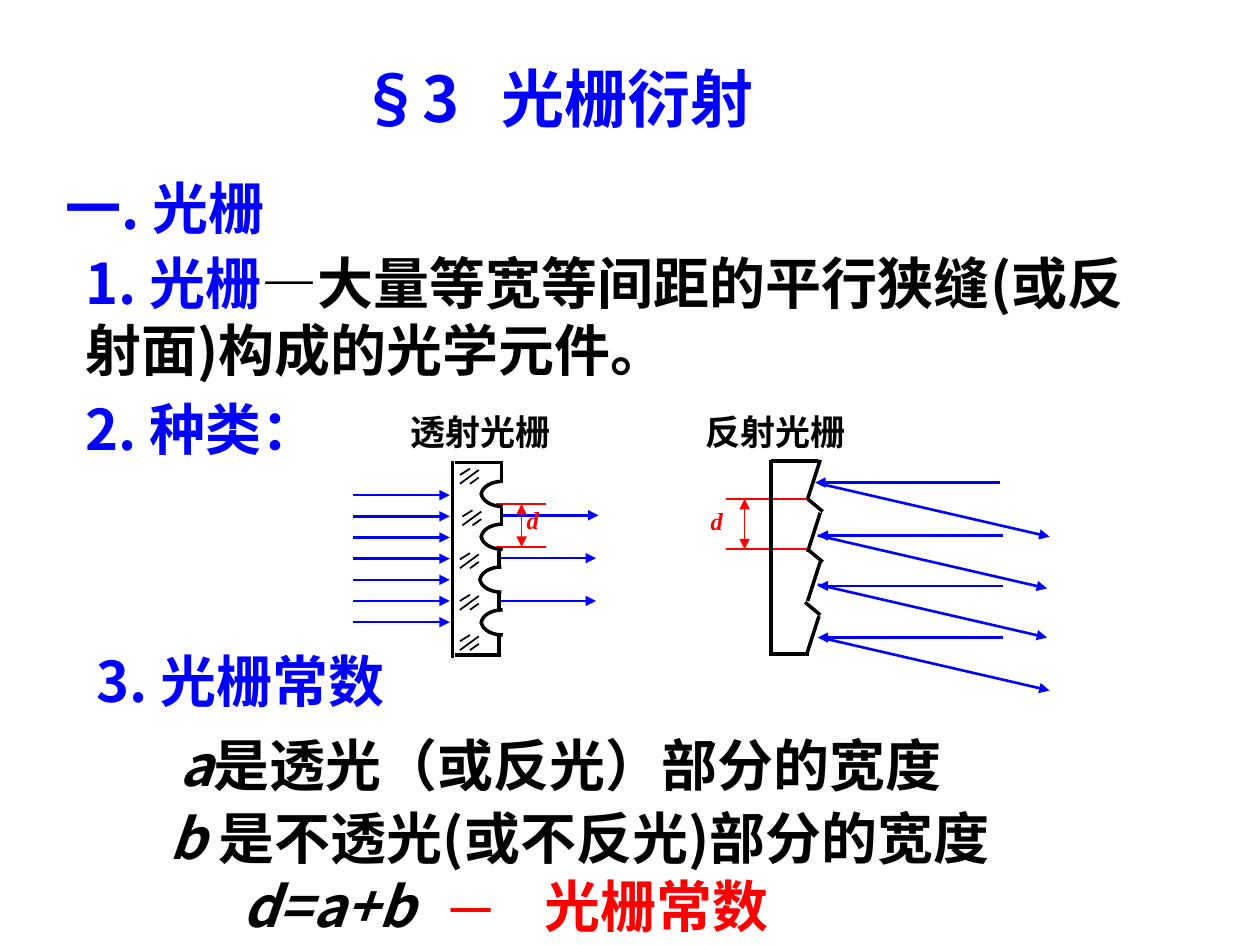
import math
from dataclasses import dataclass

import lxml.etree
import pptx
import pptx.dml.color
import pptx.enum.text
import pptx.oxml.ns
import pptx.util

Inches = pptx.util.Inches
Pt = pptx.util.Pt
qn = pptx.oxml.ns.qn
Align = pptx.enum.text.PP_ALIGN
Fit = pptx.enum.text.MSO_AUTO_SIZE

HUES = {"blue": "0000FF", "red": "FF0000", "black": "000000"}
SANS, SERIF = "Noto Sans CJK SC", "Times New Roman"


@dataclass
class Run:
    text: str
    hue: str = "black"
    size: int = 32
    face: str = SANS
    slant: bool = False


@dataclass
class Label:
    box: tuple[float, float, float, float]
    runs: list[Run]
    align: Align = Align.LEFT
    stops: tuple[float, ...] = ()
    tight: bool = False


@dataclass
class Pen:
    hue: str
    width: float
    head: bool = False
    tail: bool = False


def color(hue: str) -> pptx.dml.color.RGBColor:
    return pptx.dml.color.RGBColor.from_string(HUES[hue])


def write(shape, label: Label) -> None:
    """Place a text shape and fill it with the label's runs."""
    for name, value in zip(("left", "top", "width", "height"), label.box):
        setattr(shape, name, Inches(value))
    frame = shape.text_frame
    side, edge = (0.01, 0.01) if label.tight else (0.1, 0.05)
    style = {
        "word_wrap": True,
        "auto_size": Fit.NONE if label.tight else Fit.SHAPE_TO_FIT_TEXT,
        "vertical_anchor": pptx.enum.text.MSO_ANCHOR.TOP,
        "margin_left": Inches(side), "margin_right": Inches(side),
        "margin_top": Inches(edge), "margin_bottom": Inches(edge),
    }
    for name, value in style.items():
        setattr(frame, name, value)
    para = frame.paragraphs[0]
    para.alignment = label.align
    para.line_spacing = 1.0
    para.space_before = Pt(0)
    if label.stops:
        tabs = lxml.etree.SubElement(para._p.get_or_add_pPr(), qn("a:tabLst"))
        for stop in label.stops:
            lxml.etree.SubElement(tabs, qn("a:tab"), pos=str(Inches(stop)), algn="l")
    for part in label.runs:
        run = para.add_run()
        run.text = part.text
        look = {"size": Pt(part.size), "bold": True, "italic": part.slant, "name": part.face}
        for name, value in look.items():
            setattr(run.font, name, value)
        run.font.color.rgb = color(part.hue)
        lxml.etree.SubElement(run._r.get_or_add_rPr(), qn("a:ea"), typeface=SANS)


def add_text(shapes, label: Label) -> None:
    write(shapes.add_textbox(0, 0, Inches(1), Inches(1)), label)


def ink(shape, pen: Pen) -> None:
    shape.line.color.rgb = color(pen.hue)
    shape.line.width = Pt(pen.width)


def add_line(shapes, x1: float, y1: float, x2: float, y2: float, pen: Pen) -> None:
    line = shapes.add_connector(1, Inches(x1), Inches(y1), Inches(x2), Inches(y2))
    ink(line, pen)
    for tag, wanted in (("a:headEnd", pen.head), ("a:tailEnd", pen.tail)):
        if wanted:
            lxml.etree.SubElement(line.line._get_or_add_ln(), qn(tag), type="triangle")
    lxml.etree.SubElement(line._element.spPr, qn("a:effectLst"))


def add_arc(shapes, right: float, mid: float, rise: float, pen: Pen) -> None:
    """Quarter ellipse from the right edge round to the notch's left end."""
    dots = []
    for step in range(13):
        turn = math.pi / 2 * step / 12
        dots.append((Inches(right - 0.17 * math.sin(turn)),
                     Inches(mid + rise * math.cos(turn))))
    path = shapes.build_freeform(*dots[0], scale=1.0)
    path.add_line_segments(dots[1:], close=False)
    arc = path.convert_to_shape()
    arc.shadow.inherit = False
    arc.fill.background()
    ink(arc, pen)


def add_gauge(shapes, x: float, left: float, right: float, top: float, base: float,
              box: tuple[float, float, float, float]) -> None:
    """Red spacing mark with its letter d."""
    add_line(shapes, x, top, x, base, Pen("red", 0.75, head=True, tail=True))
    for y in (top, base):
        add_line(shapes, left, y, right, y, Pen("red", 1))
    add_text(shapes, Label(box, [Run("d", "red", 14, SERIF, True)], Align.JUSTIFY, tight=True))


def add_caption(shapes, x: float, width: float, text: str) -> None:
    add_text(shapes, Label((x, 3.25, width, 0.39), [Run(text, size=20, face=SERIF)],
                           Align.JUSTIFY, tight=True))


def draw_mirror(shapes) -> None:
    """Reflection grating."""
    for x, y in ((6.47, 3.83), (6.49, 4.25), (6.49, 4.65), (6.49, 5.06)):
        add_line(shapes, x, y, x + 1.47, y, Pen("blue", 1.5, head=True))
    for x, y in ((6.51, 3.84), (6.49, 4.25), (6.49, 4.64), (6.51, 5.06)):
        add_line(shapes, x, y, x + 1.82, y + 0.42, Pen("blue", 1.5, tail=True))
    add_gauge(shapes, 5.91, 5.76, 6.42, 3.96, 4.36, (5.63, 4.01, 0.39, 0.28))
    wall = Pen("black", 2)
    add_line(shapes, 6.12, 3.65, 6.12, 5.21, wall)
    add_line(shapes, 6.12, 3.66, 6.49, 3.66, wall)
    add_line(shapes, 6.12, 5.19, 6.42, 5.19, wall)
    for x, y in ((6.51, 3.65), (6.51, 4.07), (6.51, 4.46), (6.5, 4.89)):
        add_line(shapes, x, y, x - 0.1, y + 0.31, wall)
    for x, y in ((6.41, 3.96), (6.41, 4.36), (6.39, 4.78)):
        add_line(shapes, x, y, x + 0.12, y + 0.1, wall)
    add_caption(shapes, 5.59, 1.53, "反射光栅")


def draw_glass(shapes) -> None:
    """Transmission grating."""
    ray = Pen("blue", 1.5, tail=True)
    for x, y in ((3.97, 4.09), (3.95, 4.43), (3.95, 4.77)):
        add_line(shapes, x, y, x + 0.78, y, ray)
    for row in range(7):
        y = 3.93 + 0.168 * row
        add_line(shapes, 2.8, y, 3.57, y, ray)
    add_gauge(shapes, 4.14, 3.94, 4.33, 4, 4.34, (4.17, 4, 0.43, 0.29))
    add_caption(shapes, 3.25, 1.38, "透射光栅")
    wall = Pen("black", 2)
    add_line(shapes, 3.59, 3.66, 3.59, 5.22, wall)
    for y in (3.67, 5.2):
        add_line(shapes, 3.61, y, 3.98, y, wall)
    for x, top, base in ((3.98, 3.66, 3.83), (3.98, 4.03, 4.17), (3.96, 4.37, 4.51),
                         (3.96, 4.69, 4.83), (3.96, 5.04, 5.21)):
        add_line(shapes, x, top, x, base, wall)
    # Notches
    for right, top in ((3.99, 3.82), (3.99, 4.16), (3.98, 4.5), (3.99, 4.84)):
        add_arc(shapes, right, top + 0.11, -0.11, wall)
        add_arc(shapes, right, top + 0.09, 0.11, wall)
    # Hatching
    for x, y in ((3.65, 3.72), (3.67, 4.05), (3.65, 4.39), (3.65, 4.72), (3.65, 5.04)):
        for x1, y1, x2, y2 in ((0.15, 0.07, 0.08, 0.12), (0.08, 0, 0, 0.05),
                               (0.15, 0.01, 0, 0.12)):
            add_line(shapes, x + x1, y + y1, x + x2, y + y2, Pen("black", 1))


TITLE = Label((2.75, 0.42, 4, 0.7), [Run("§3\t光栅衍射", "blue", 36)], stops=(1.13,))
LABELS = [
    Label((0.42, 1.33, 2.08, 0.64), [Run("一. 光栅", "blue")]),
    Label((0.58, 1.92, 8.58, 1.17), [
        Run("1. 光栅", "blue"), Run("—大量等宽等间距的平行狭缝(或反射面)构成的光学元件。")]),
    Label((0.58, 3.08, 2.83, 0.64), [Run("2. 种类：", "blue")]),
    Label((0.67, 5.08, 3.92, 0.64), [Run("3. 光栅常数", "blue")]),
    Label((1.33, 5.75, 6.58, 0.64), [
        Run("a", slant=True), Run("是透光（或反光）部分的宽度")], Align.JUSTIFY),
    Label((1.25, 6.33, 7, 1.17), [
        Run("b ", slant=True), Run("是不透光(或不反光)部分的宽度")]),
    Label((1.83, 6.87, 5, 0.64), [
        Run("d=a+b\t", slant=True), Run("─\t", "red", face="Arial", slant=True),
        Run("光栅常数", "red")], stops=(1.65, 2.39)),
]


def main() -> None:
    deck = pptx.Presentation()
    deck.slide_width, deck.slide_height = Inches(10), Inches(7.5)
    slide = deck.slides.add_slide(deck.slide_layouts[5])
    write(slide.shapes.title, TITLE)
    for label in LABELS:
        add_text(slide.shapes, label)
    draw_mirror(slide.shapes)
    draw_glass(slide.shapes)
    deck.save("out.pptx")


if __name__ == "__main__":
    main()
